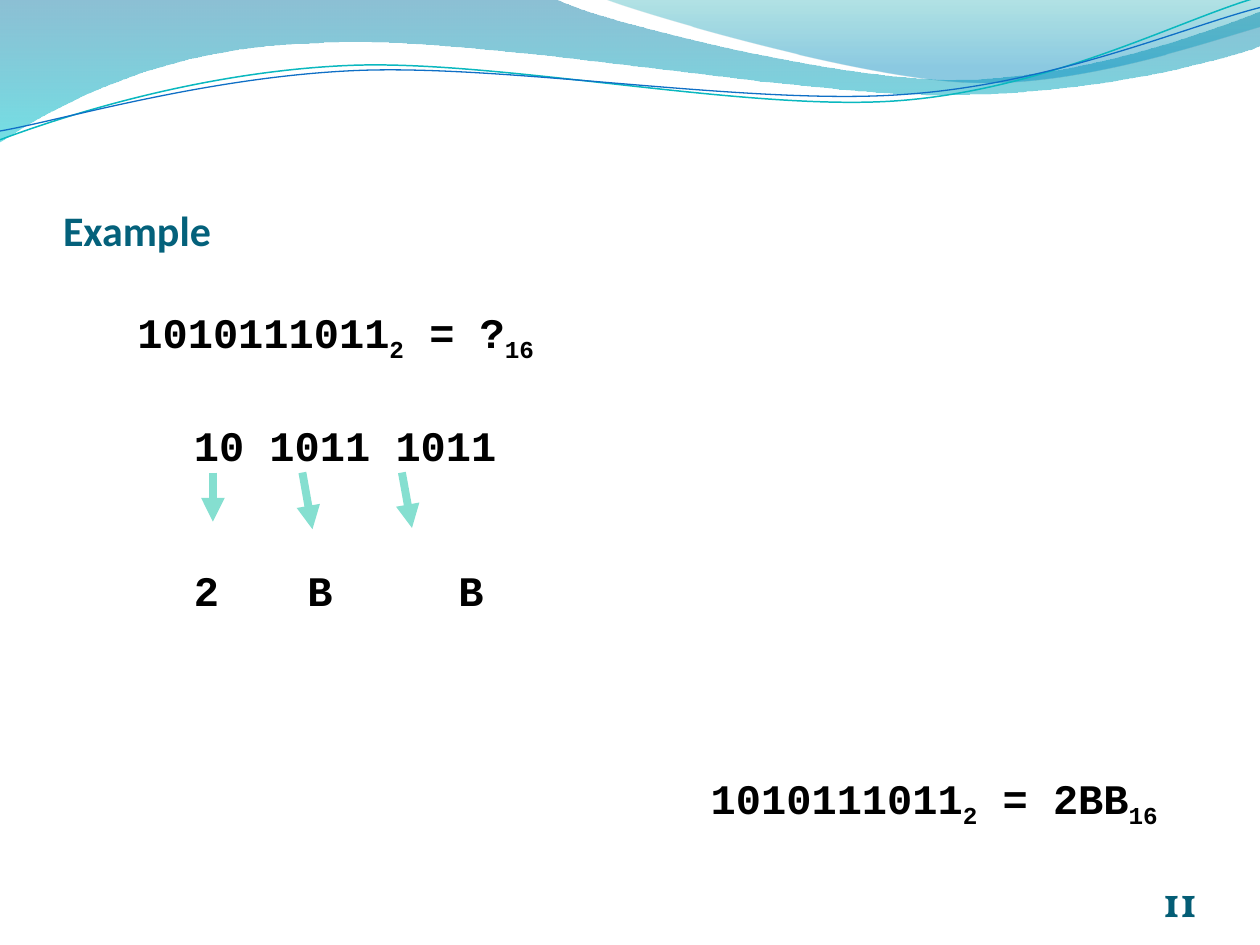
import pptx
import pptx.dml.color
import pptx.enum.shapes
import pptx.enum.text
import pptx.oxml.ns
import pptx.util
from lxml import etree

Inches = pptx.util.Inches
Pt = pptx.util.Pt
RGBColor = pptx.dml.color.RGBColor
PP_ALIGN = pptx.enum.text.PP_ALIGN
MSO_ANCHOR = pptx.enum.text.MSO_ANCHOR
qn = pptx.oxml.ns.qn

BLACK = RGBColor(0x00, 0x00, 0x00)
TITLE_TEAL = RGBColor(0x04, 0x61, 0x7B)
NUMBER_TEAL = RGBColor(0x04, 0x5D, 0x75)
ARROW_MINT = RGBColor(0x85, 0xDF, 0xD0)
LINE_TEAL = RGBColor(0x0A, 0xB8, 0xBF)
LINE_BLUE = RGBColor(0x0F, 0x6F, 0xC6)
DEEP_BLUE = RGBColor(0x00, 0x74, 0xA1)
AQUA = RGBColor(0x00, 0xC6, 0xCF)
SEA_GREEN = RGBColor(0x00, 0xA1, 0xA9)
SKY_BLUE = RGBColor(0x00, 0x8B, 0xBF)

# Outlines in inches: a pair is a straight step, six numbers are a Bezier curve
LEFT_WAVE = [
    (0, 0), (4.4, -0.01),
    (4.76, 0.17, 6.64, 0.63, 7.58, 0.63), (8.53, 0.63, 9.58, 0.26, 10, 0.09),
    (10.01, 0.36),
    (9.83, 0.44, 8.7, 0.76, 7.46, 0.75), (6.22, 0.75, 3.82, 0.28, 2.57, 0.34),
    (1.29, 0.36, 0.46, 0.83, -0.01, 1.13),
]
RIGHT_WAVE = [
    (4.79, -0.01),
    (5.09, 0.11, 6.82, 0.62, 7.69, 0.65), (8.56, 0.69, 9.61, 0.32, 10, 0.21),
    (10, 0),
]
TEAL_CURVE = [
    (0, 1.11), (0.48, 0.93, 1.58, 0.57, 2.77, 0.52),
    (3.95, 0.47, 5.93, 0.89, 7.13, 0.8), (8.33, 0.71, 9.38, 0.15, 9.98, -0.02),
]
BLUE_CURVE = [
    (0, 1.04), (0.47, 0.96, 1.64, 0.61, 2.83, 0.56),
    (4.03, 0.51, 5.97, 0.84, 7.17, 0.75), (8.36, 0.67, 9.41, 0.21, 10, 0.06),
]


def add_outline(slide, outline, closed):
    """Draw the outline through its end points, then bend the curved steps."""
    points = [tuple(map(Inches, step[-2:])) for step in outline]
    builder = slide.shapes.build_freeform(*points[0])
    builder.add_line_segments(points[1:], close=closed)
    shape = builder.convert_to_shape()
    shape.shadow.inherit = False
    segments = list(shape._element.iter(qn("a:lnTo")))
    for segment, step in zip(segments, outline[1:]):
        if len(step) == 6:
            bend_segment(shape, segment, step)
    return shape


def bend_segment(shape, segment, step):
    curve = etree.Element(qn("a:cubicBezTo"))
    for x, y in zip(step[::2], step[1::2]):
        etree.SubElement(curve, qn("a:pt"), x=str(Inches(x) - shape.left),
                         y=str(Inches(y) - shape.top))
    segment.getparent().replace(segment, curve)


def add_wave(slide, outline, stops):
    """Add a downward gradient; stops hold position, colour and opacity in percent."""
    shape = add_outline(slide, outline, True)
    shape.line.fill.background()
    shape.fill.gradient()
    shape.fill.gradient_angle = 270
    for stop, (position, color, _) in zip(shape.fill.gradient_stops, stops):
        stop.position = position
        stop.color.rgb = color
    colors = shape._element.spPr.iter(qn("a:srgbClr"))
    for element, (_, _, opacity) in zip(list(colors), stops):
        etree.SubElement(element, qn("a:alpha"), val=str(opacity * 1000))


def add_curve(slide, outline, color, width):
    shape = add_outline(slide, outline, False)
    shape.fill.background()
    shape.line.color.rgb = color
    shape.line.width = Pt(width)


def add_arrow(slide, start, end):
    connector = slide.shapes.add_connector(
        pptx.enum.shapes.MSO_CONNECTOR.STRAIGHT, *map(Inches, start + end))
    connector.line.color.rgb = ARROW_MINT
    connector.line.width = Pt(4.5)
    etree.SubElement(connector.line._get_or_add_ln(), qn("a:tailEnd"), type="triangle")
    etree.SubElement(connector._element.spPr, qn("a:effectLst"))


def add_text(slide, box, lines, font_name="Courier New", color=BLACK,
             align=PP_ALIGN.LEFT, anchor=MSO_ANCHOR.TOP, insets=(0.1, 0.05, 0.1, 0.05)):
    """Add bold text; each line is a list of (text, is_subscript) runs."""
    frame = slide.shapes.add_textbox(*map(Inches, box)).text_frame
    frame.word_wrap = True
    frame.vertical_anchor = anchor
    (frame.margin_left, frame.margin_top,
     frame.margin_right, frame.margin_bottom) = map(Inches, insets)
    for index, line in enumerate(lines):
        paragraph = frame.add_paragraph() if index else frame.paragraphs[0]
        paragraph.alignment = align
        paragraph.font.name = font_name
        paragraph.font.size = Pt(24)
        paragraph.font.bold = True
        paragraph.font.color.rgb = color
        for text, is_subscript in line:
            run = paragraph.add_run()
            run.text = text
            if is_subscript:
                run.font._element.set("baseline", "-25000")
    return frame


def add_equation(slide, left, top, result):
    runs = [("1010111011", False), ("2", True), (f" = {result}", False), ("16", True)]
    add_text(slide, (left, top, 4.67, 0.5), [runs], align=PP_ALIGN.CENTER)


def set_tab_stops(paragraph, positions):
    properties = paragraph._p.get_or_add_pPr()
    tab_list = etree.Element(qn("a:tabLst"))
    for position in positions:
        etree.SubElement(tab_list, qn("a:tab"), pos=str(Inches(position)), algn="l")
    properties.find(qn("a:defRPr")).addprevious(tab_list)


def add_digit_groups(slide):
    frame = add_text(slide, (1.44, 3.28, 7.21, 1.72),
                     [[("10 1011 1011", False)], [("2\tB\tB", False)]])
    hex_digits = frame.paragraphs[1]
    hex_digits.space_before = Pt(54)
    set_tab_stops(hex_digits, (0.9, 2.1))


def main():
    presentation = pptx.Presentation()
    presentation.slide_width = Inches(10)
    presentation.slide_height = Inches(7.5)
    slide = presentation.slides.add_slide(presentation.slide_layouts[6])

    # Wave banner
    add_wave(slide, LEFT_WAVE, [(0, DEEP_BLUE, 45), (1, AQUA, 55)])
    add_wave(slide, RIGHT_WAVE, [(0, SEA_GREEN, 30), (0.8, SKY_BLUE, 45)])
    add_curve(slide, TEAL_CURVE, LINE_TEAL, 0.85)
    add_curve(slide, BLUE_CURVE, LINE_BLUE, 0.75)

    # Title
    add_text(slide, (0.5, 0.77, 9.08, 1.25), [[("Example", False)]], "Calibri",
             TITLE_TEAL, anchor=MSO_ANCHOR.BOTTOM, insets=(0, 0.05, 0, 0))

    # Conversion from binary to hexadecimal
    add_equation(slide, 0.33, 2.38, "?")
    add_digit_groups(slide)
    for start, end in (((1.69, 3.75), (1.69, 4.14)),
                       ((2.4, 3.75), (2.48, 4.2)),
                       ((3.19, 3.75), (3.27, 4.19))):
        add_arrow(slide, start, end)
    add_equation(slide, 5.08, 6.08, "2BB")

    # Slide number
    add_text(slide, (8.67, 6.95, 0.83, 0.4), [[("11", False)]], "Vollkorn",
             NUMBER_TEAL, PP_ALIGN.RIGHT, MSO_ANCHOR.BOTTOM, (0, 0, 0, 0))

    presentation.save("out.pptx")


main()
